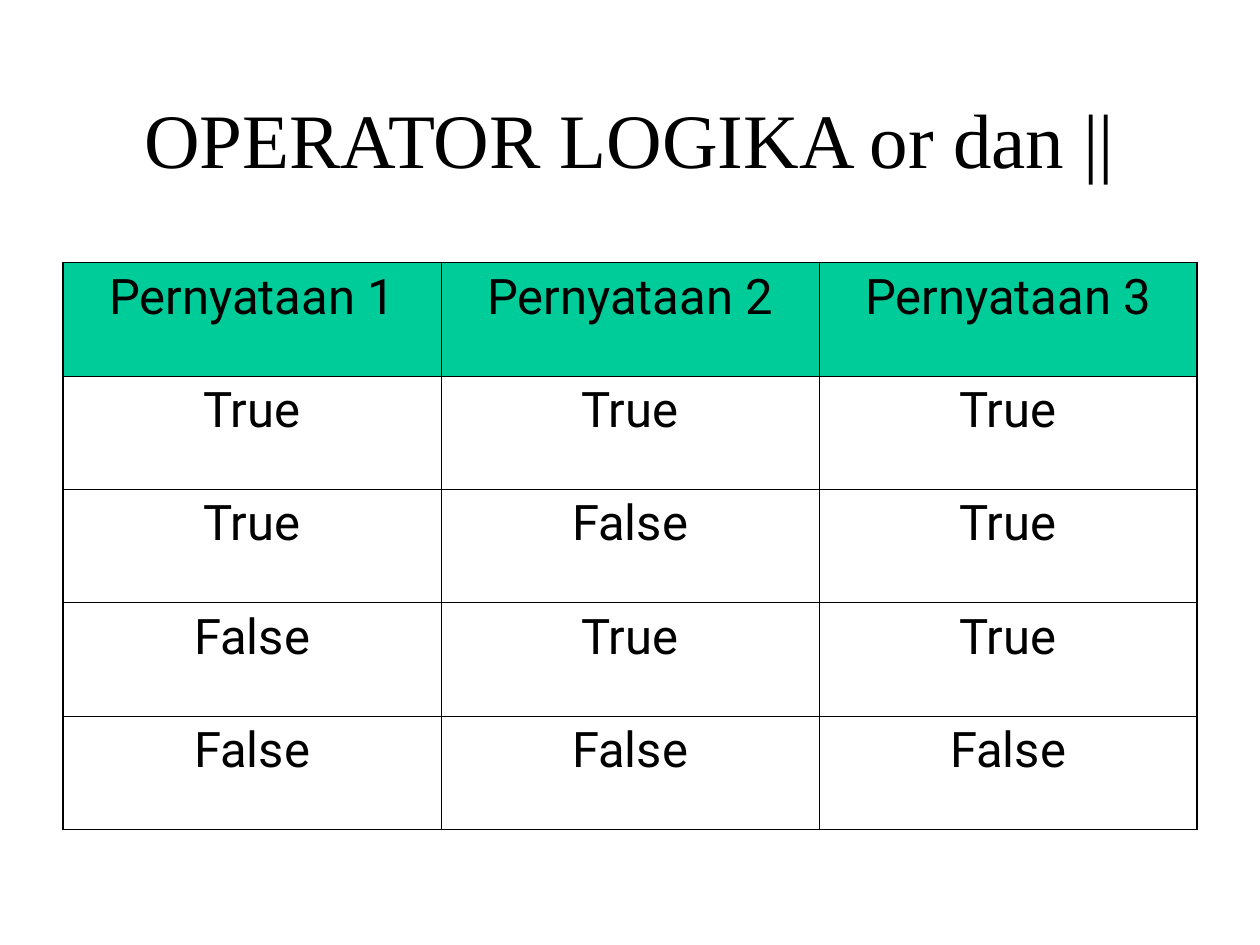
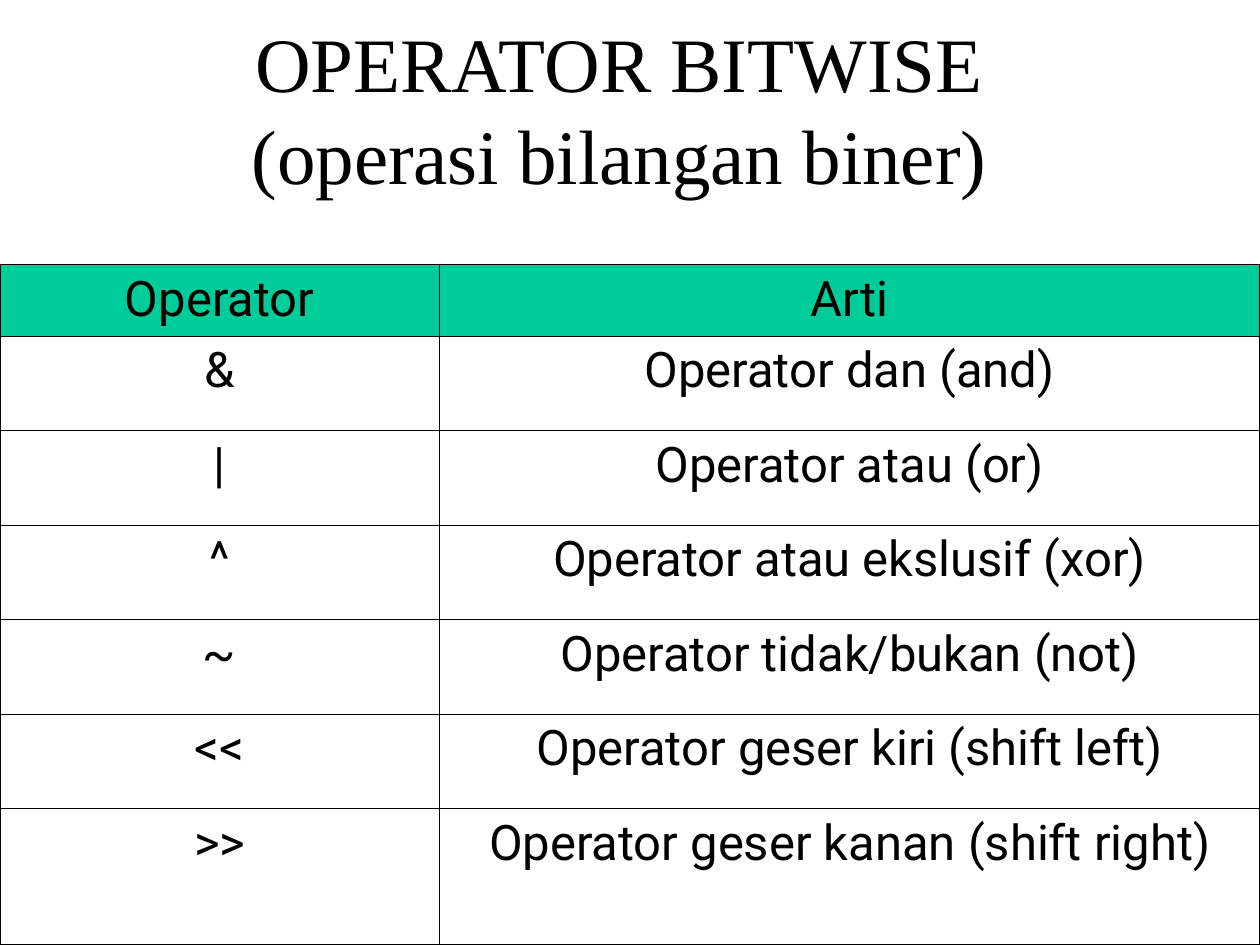
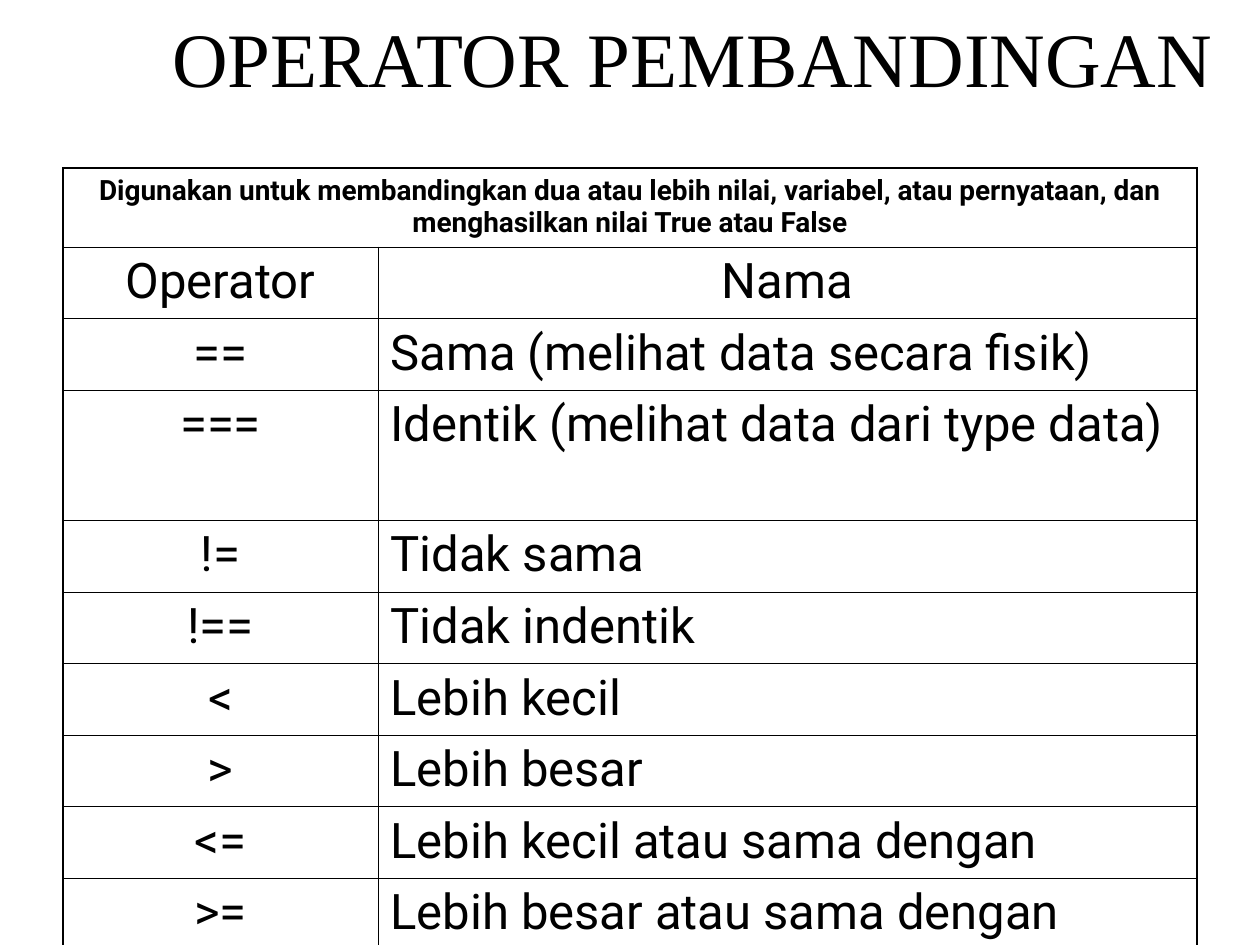
from lxml.etree import SubElement
from pptx import Presentation
from pptx.dml.color import RGBColor
from pptx.enum.text import MSO_ANCHOR, MSO_AUTO_SIZE, PP_ALIGN
from pptx.oxml.ns import qn
from pptx.util import Pt

BLACK = RGBColor(0x00, 0x00, 0x00)
GREEN = RGBColor(0x00, 0xCC, 0x99)
TITLE_FONT = {"name": "Times New Roman", "size": Pt(44), "bold": False}
CELL_FONT = {"name": "Roboto", "size": Pt(28), "bold": False}
NOTE_FONT = {"name": "Roboto", "size": Pt(16), "bold": True}
TITLE_FRAME = {
    "auto_size": MSO_AUTO_SIZE.NONE,
    "word_wrap": True,
    "vertical_anchor": MSO_ANCHOR.MIDDLE,
    "margin_left": Pt(7.2),
    "margin_right": Pt(7.2),
    "margin_top": Pt(6),
    "margin_bottom": Pt(3.6),
}
OUTER, INNER = Pt(1.08), Pt(0.45)


def format_text(p, align, font):
    p.alignment = align
    for name, value in font.items():
        setattr(p.font, name, value)
    p.font.color.rgb = BLACK


def add_border(cell, side, width):
    ln = SubElement(cell._tc.get_or_add_tcPr(), qn("a:" + side), w=str(width))
    fill = SubElement(ln, qn("a:solidFill"))
    SubElement(fill, qn("a:srgbClr"), val=str(BLACK))


# Content: boxes are left, top, width, height; the table grows from its corner
slides = [
    {
        "title": "OPERATOR LOGIKA or dan ||",
        "title_box": (36, 23, 648, 109),
        "corner": (36, 150),
        "cols": [216] * 3,
        "heights": [64.8] * 5,
        "header_fill": True,
        "rows": [
            ("Pernyataan 1", "Pernyataan 2", "Pernyataan 3"),
            ("True", "True", "True"),
            ("True", "False", "True"),
            ("False", "True", "True"),
            ("False", "False", "False"),
        ],
    },
    {
        "title": "OPERATOR BITWISE\v(operasi bilangan biner)",
        "title_box": (30, 6, 648, 109),
        "corner": (0, 151.2),
        "cols": [251, 469],
        "heights": [41] + [54] * 5 + [77.8],
        "header_fill": True,
        "rows": [
            ("Operator", "Arti"),
            ("&", "Operator dan (and)"),
            ("|", "Operator atau (or)"),
            ("^", "Operator atau ekslusif (xor)"),
            ("~", "Operator tidak/bukan (not)"),
            ("<<", "Operator geser kiri (shift left)"),
            (">>", "Operator geser kanan (shift right)"),
        ],
    },
    {
        "title": "OPERATOR PEMBANDINGAN",
        "title_box": (72, -13.7, 648, 90),
        "corner": (36, 96),
        "cols": [180, 468],
        "heights": [45.2, 40.9, 40.9, 74.4] + [40.9] * 6,
        "header_fill": False,
        "rows": [
            ("Digunakan untuk membandingkan dua atau lebih nilai, variabel, atau "
             "pernyataan, dan menghasilkan nilai True atau False",),
            ("Operator", "Nama"),
            ("==", "Sama (melihat data secara fisik)"),
            ("===", "Identik (melihat data dari type data)"),
            ("!=", "Tidak sama"),
            ("!==", "Tidak indentik"),
            ("<", "Lebih kecil"),
            (">", "Lebih besar"),
            ("<=", "Lebih kecil atau sama dengan"),
            (">=", "Lebih besar atau sama dengan"),
        ],
        "left_from_row": 2,
    },
]

prs = Presentation()
prs.slide_width, prs.slide_height = Pt(720), Pt(540)

for data in slides:
    s = prs.slides.add_slide(prs.slide_layouts[5])

    # Title
    title = s.shapes.title
    title.left, title.top, title.width, title.height = map(Pt, data["title_box"])
    tf = title.text_frame
    tf.text = data["title"]
    for name, value in TITLE_FRAME.items():
        setattr(tf, name, value)
    p = tf.paragraphs[0]
    p.line_spacing = Pt(52.6)
    format_text(p, PP_ALIGN.CENTER, TITLE_FONT)

    # Table grid
    rows, cols, heights = data["rows"], data["cols"], data["heights"]
    left, top = data["corner"]
    table = s.shapes.add_table(len(rows), len(cols), Pt(left), Pt(top),
                               Pt(sum(cols)), Pt(sum(heights))).table
    table.first_row = table.horz_banding = False
    for column, width in zip(table.columns, cols):
        column.width = Pt(width)
    for row, height in zip(table.rows, heights):
        row.height = Pt(height)

    # Cells: a row with a single text spans the table
    for i, texts in enumerate(rows):
        spans = len(texts) == 1
        if spans:
            table.cell(i, 0).merge(table.cell(i, len(cols) - 1))
        for j in range(len(cols)):
            cell = table.cell(i, j)
            at_right = j + cell.span_width == len(cols)
            add_border(cell, "lnL", OUTER if j == 0 else INNER)
            add_border(cell, "lnR", OUTER if at_right else INNER)
            add_border(cell, "lnT", OUTER if i == 0 else INNER)
            add_border(cell, "lnB", OUTER if i == len(rows) - 1 else INNER)
            if i == 0 and data["header_fill"]:
                cell.fill.solid()
                cell.fill.fore_color.rgb = GREEN
            else:
                cell.fill.background()
            if j < len(texts):
                cell.text = texts[j]
                to_left = j > 0 and i >= data.get("left_from_row", len(rows))
                format_text(cell.text_frame.paragraphs[0],
                            PP_ALIGN.LEFT if to_left else PP_ALIGN.CENTER,
                            NOTE_FONT if spans else CELL_FONT)

prs.save("out.pptx")
